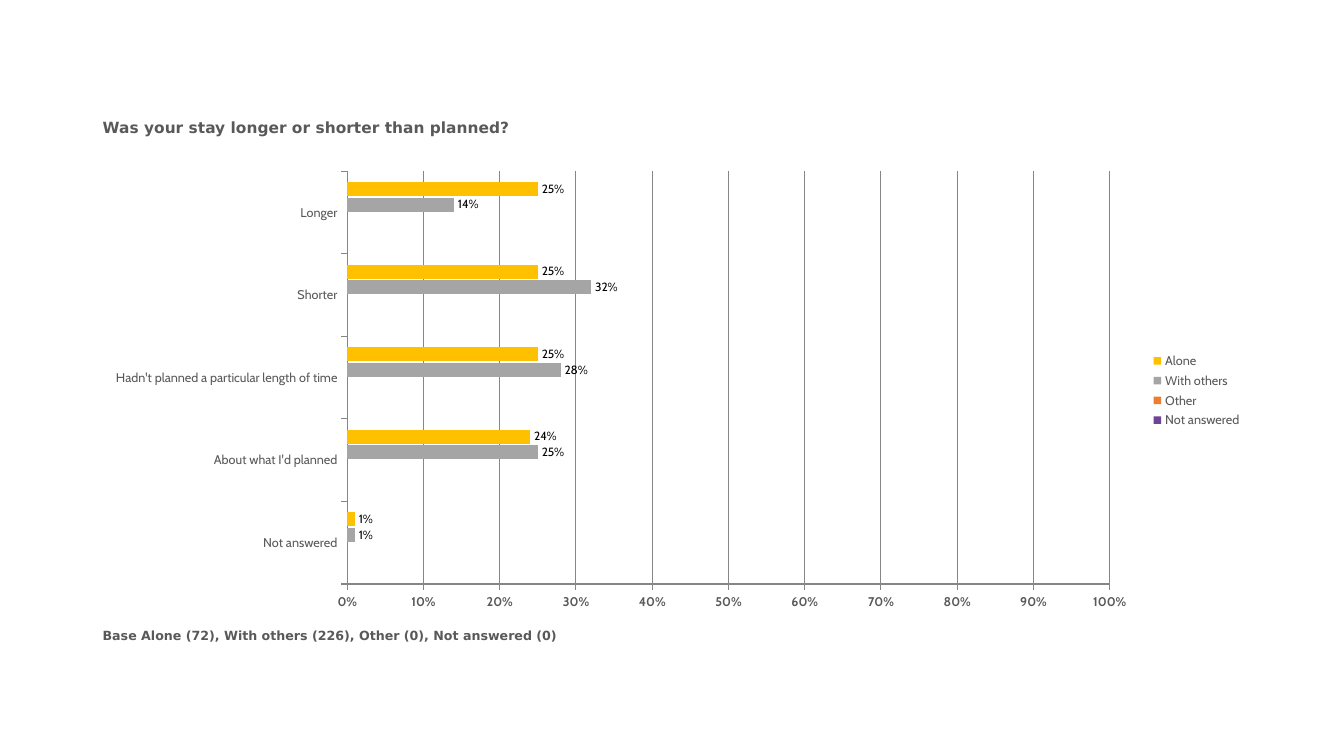
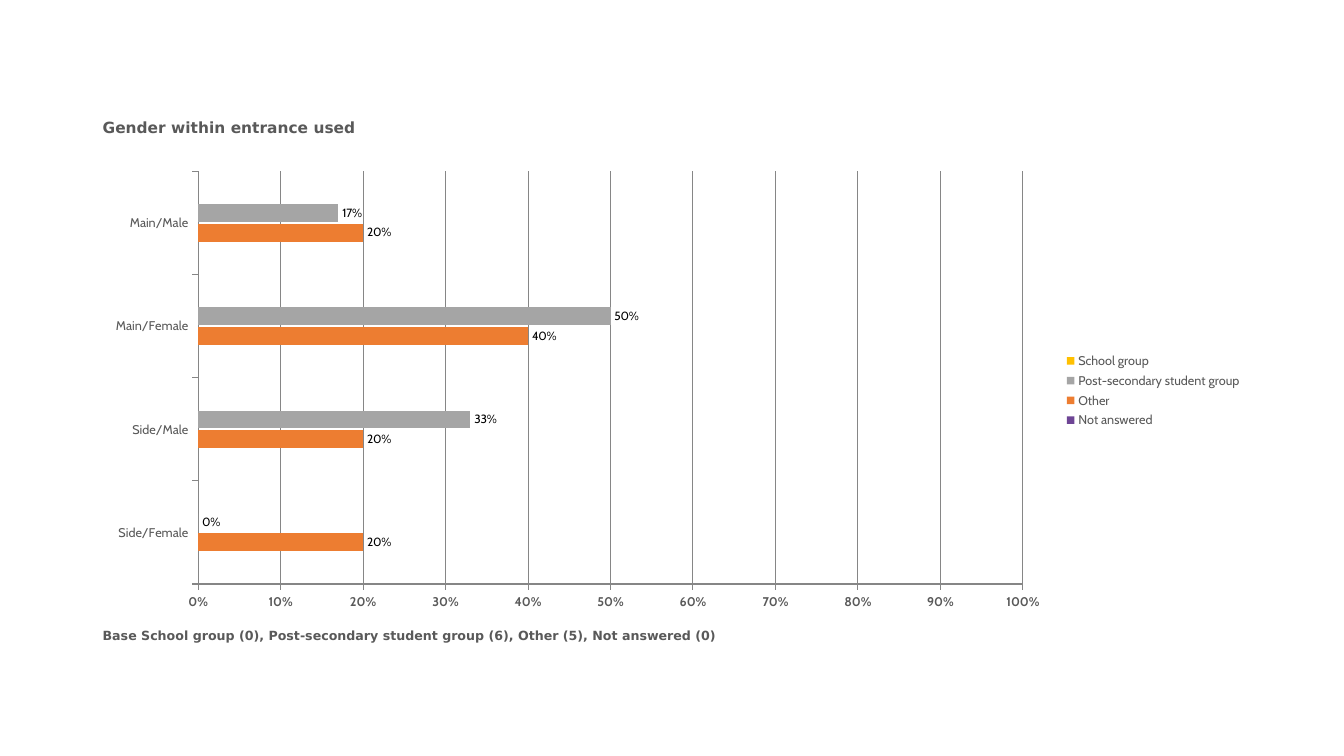
from pptx import Presentation
from pptx.chart.data import CategoryChartData
from pptx.dml.color import RGBColor
from pptx.enum.chart import (XL_CHART_TYPE, XL_LABEL_POSITION, XL_LEGEND_POSITION,
                             XL_TICK_LABEL_POSITION, XL_TICK_MARK)
from pptx.util import Pt

BAR = XL_CHART_TYPE.BAR_CLUSTERED
OUTSIDE_END = XL_LABEL_POSITION.OUTSIDE_END
RIGHT = XL_LEGEND_POSITION.RIGHT
LOW = XL_TICK_LABEL_POSITION.LOW
TICK_OUT, TICK_NONE = XL_TICK_MARK.OUTSIDE, XL_TICK_MARK.NONE

# Colours
BLACK = RGBColor(0x00, 0x00, 0x00)
DARK_GRAY = RGBColor(0x59, 0x59, 0x59)
LINE_GRAY = RGBColor(0x86, 0x86, 0x86)
PURPLE = RGBColor(0x6E, 0x45, 0x95)
ORANGE = RGBColor(0xED, 0x7D, 0x31)
GRAY = RGBColor(0xA5, 0xA5, 0xA5)
YELLOW = RGBColor(0xFF, 0xC0, 0x00)
SERIES_COLORS = [PURPLE, ORANGE, GRAY, YELLOW]

# Text formats
TITLE = dict(name="DejaVu Sans", size=Pt(11), bold=True, color=DARK_GRAY)
BASE = dict(TITLE, size=Pt(9))
CHART = dict(name="Calibri", size=Pt(18), color=BLACK)
LEGEND = dict(name="Cabin", size=Pt(9), bold=False, color=DARK_GRAY)
SCALE = dict(LEGEND, bold=True)
LABEL = dict(LEGEND, size=Pt(8.5), color=BLACK)

# Layout
LEFT, WIDTH = Pt(66.24), Pt(828)
PERCENT = "0%"


def set_font(font, fmt):
    for key, value in fmt.items():
        if key == "color":
            font.color.rgb = value
        else:
            setattr(font, key, value)


def set_line(line):
    line.color.rgb = LINE_GRAY
    line.width = Pt(0.75)


class Deck:
    """Holds the presentation, its shared style and the current slide."""

    def __init__(self):
        self.prs = Presentation()
        self.prs.slide_width, self.prs.slide_height = Pt(960), Pt(540)
        self.s = None

    def text(self, text, top, height, fmt):
        tf = self.s.shapes.add_textbox(LEFT, top, WIDTH, height).text_frame
        tf.word_wrap = True
        r = tf.paragraphs[0].add_run()
        r.text = text
        set_font(r.font, fmt)

    def axis(self, axis, fmt):
        axis.tick_label_position = LOW
        axis.major_tick_mark, axis.minor_tick_mark = TICK_OUT, TICK_NONE
        set_font(axis.tick_labels.font, fmt)
        set_line(axis.format.line)

    def bars(self, categories, series):
        data = CategoryChartData(number_format=PERCENT)
        data.categories = categories
        for name, values in series.items():
            data.add_series(name, values)
        chart = self.s.shapes.add_chart(BAR, LEFT, Pt(115.92), WIDTH, Pt(326.16), data).chart
        chart.has_title = False
        set_font(chart.font, CHART)

        # Legend
        chart.has_legend = True
        chart.legend.position = RIGHT
        chart.legend.include_in_layout = False
        set_font(chart.legend.font, LEGEND)

        # Axes
        self.axis(chart.category_axis, LEGEND)
        scale = chart.value_axis
        self.axis(scale, SCALE)
        scale.minimum_scale, scale.maximum_scale, scale.major_unit = 0, 1, 0.1
        scale.tick_labels.number_format = PERCENT
        scale.tick_labels.number_format_is_linked = False
        scale.has_major_gridlines = True
        set_line(scale.major_gridlines.format.line)

        # Bars and their labels
        plot = chart.plots[0]
        plot.vary_by_categories = False
        plot.gap_width, plot.overlap = 150, -10
        for bar, color in zip(plot.series, SERIES_COLORS):
            bar.format.fill.solid()
            bar.format.fill.fore_color.rgb = color
            labels = bar.data_labels
            labels.show_value = True
            labels.position = OUTSIDE_END
            labels.number_format = PERCENT
            labels.number_format_is_linked = False
            set_font(labels.font, LABEL)

    def question(self, title, base, categories, series):
        self.s = self.prs.slides.add_slide(self.prs.slide_layouts[6])
        self.text(title, Pt(80.64), Pt(36.72), TITLE)
        self.text(base, Pt(444.96), Pt(30.96), BASE)
        self.bars(categories, series)


def main():
    deck = Deck()

    # Length of stay
    deck.question(
        "Was your stay longer or shorter than planned?",
        "Base Alone (72), With others (226), Other (0), Not answered (0)",
        ["Not answered", "About what I'd planned",
         "Hadn't planned a particular length of time", "Shorter", "Longer"],
        {"Not answered": [None] * 5,
         "Other": [None] * 5,
         "With others": [0.01, 0.25, 0.28, 0.32, 0.14],
         "Alone": [0.01, 0.24, 0.25, 0.25, 0.25]})

    # Gender by entrance
    deck.question(
        "Gender within entrance used",
        "Base School group (0), Post-secondary student group (6), Other (5), Not answered (0)",
        ["Side/Female", "Side/Male", "Main/Female", "Main/Male"],
        {"Not answered": [None] * 4,
         "Other": [0.2, 0.2, 0.4, 0.2],
         "Post-secondary student group": [0, 0.33, 0.5, 0.17],
         "School group": [None] * 4})

    deck.prs.save("out.pptx")


if __name__ == "__main__":
    main()
